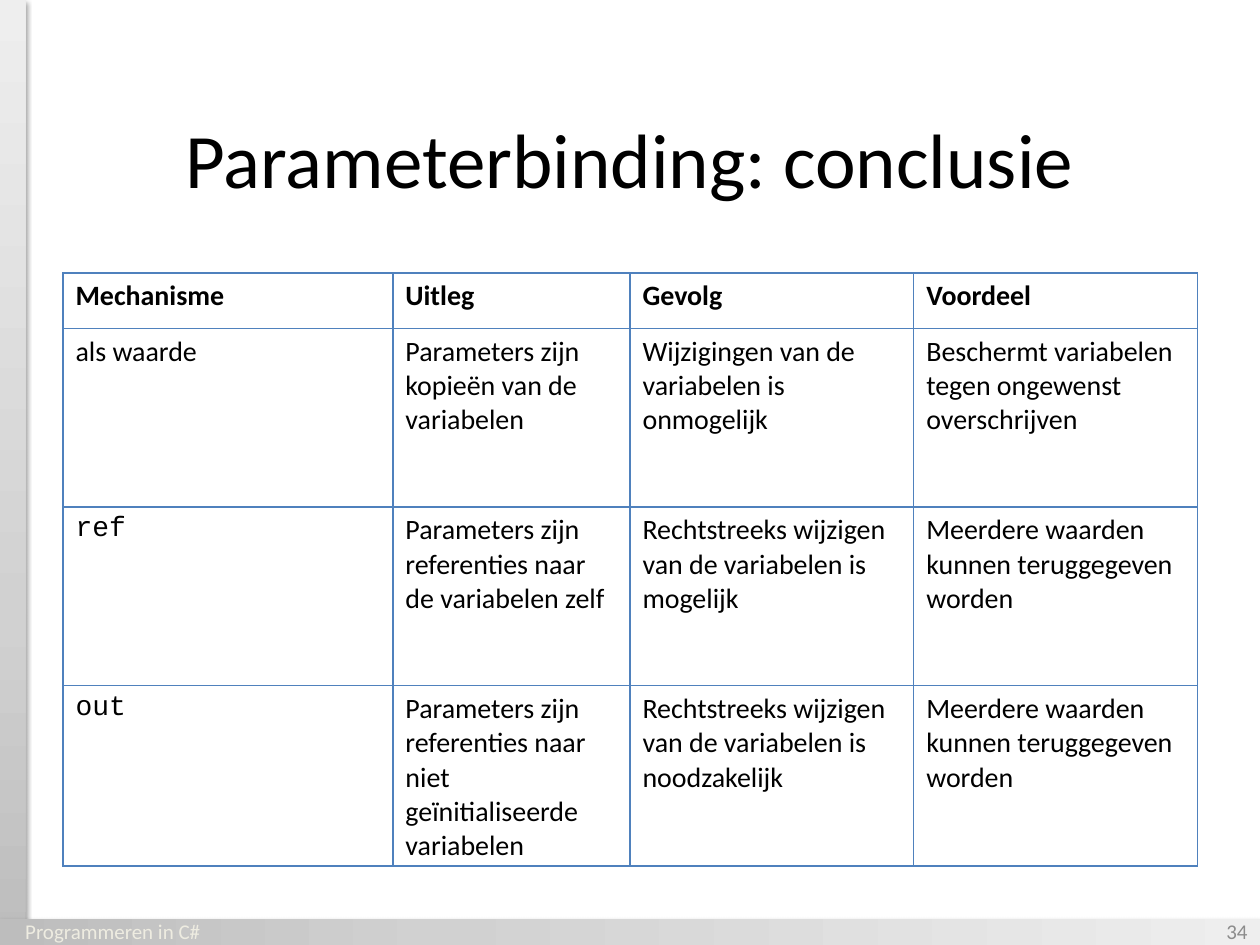
from copy import deepcopy

from lxml.etree import SubElement
from pptx import Presentation
from pptx.dml.color import RGBColor
from pptx.enum.shapes import MSO_SHAPE as Preset
from pptx.enum.text import MSO_ANCHOR as Anchor, PP_ALIGN as Align
from pptx.oxml.ns import qn
from pptx.util import Cm, Pt

SLIDE_W, SLIDE_H = 25.4, 19.05
BAR_STOPS = [(0, "BDBDBD"), (0.35, "D1D1D1"), (1, "EEEEEE")]
BORDER = "4F81BD"
BODY_FONT, CODE_FONT = "Calibri", "Courier New"
KEYWORDS = {"ref", "out"}

COLUMN_WIDTHS = [6.65, 4.78, 5.72, 5.72]
ROW_HEIGHTS = [1.12, 3.6, 3.6, 3.6]
MECHANISMS = [
    ("Mechanisme", "Uitleg", "Gevolg", "Voordeel"),
    ("als waarde",
     "Parameters zijn kopieën van de variabelen",
     "Wijzigingen van de variabelen is onmogelijk",
     "Beschermt variabelen tegen ongewenst overschrijven"),
    ("ref",
     "Parameters zijn referenties naar de variabelen zelf",
     "Rechtstreeks wijzigen van de variabelen is mogelijk",
     "Meerdere waarden kunnen teruggegeven worden"),
    ("out",
     "Parameters zijn referenties naar niet geïnitialiseerde variabelen",
     "Rechtstreeks wijzigen van de variabelen is noodzakelijk",
     "Meerdere waarden kunnen teruggegeven worden"),
]


def rgb(value):
    return RGBColor.from_string(value)


def lengths(box):
    return [Cm(value) for value in box]


def add_run(paragraph, text, size, color, font=BODY_FONT, bold=False):
    run = paragraph.add_run()
    run.text = text
    run.font.size = Pt(size)
    run.font.name = font
    run.font.bold = bold
    run.font.color.rgb = rgb(color)


def add_line_of_text(slide, box, text, size, color, align):
    frame = slide.shapes.add_textbox(*lengths(box)).text_frame
    frame.word_wrap = True
    frame.vertical_anchor = Anchor.MIDDLE
    paragraph = frame.paragraphs[0]
    paragraph.alignment = align
    add_run(paragraph, text, size, color)


def add_soft_shadow(shape):
    shape.shadow.inherit = False
    effects = shape._element.spPr.find(qn("a:effectLst"))
    shadow = SubElement(effects, qn("a:outerShdw"), blurRad=str(Pt(3.1)),
                        dist=str(Pt(1.6)), dir="5400000", rotWithShape="0")
    black = SubElement(shadow, qn("a:srgbClr"), val="000000")
    SubElement(black, qn("a:alpha"), val="38000")


def add_bar(slide, box, rotation=0):
    """Grey edge bar, shaded from dark at its foot to light at its head."""
    bar = slide.shapes.add_shape(Preset.RECTANGLE, *lengths(box))
    bar.rotation = rotation
    bar.line.fill.background()
    bar.fill.gradient()
    bar.fill.gradient_angle = 90
    stop_list = bar._element.spPr.find(".//" + qn("a:gsLst"))
    stop_list.append(deepcopy(stop_list[-1]))
    for stop, (position, color) in zip(bar.fill.gradient_stops, BAR_STOPS):
        stop.position = position
        stop.color.rgb = rgb(color)
    add_soft_shadow(bar)


def add_frame_bars(slide, box):
    left, top, width, height = box
    thickness = 0.52
    add_bar(slide, (left, top, thickness, height))
    # The foot bar stands upright and is turned about its centre.
    center_x, center_y = left + width / 2, top + height - thickness / 2
    add_bar(slide, (center_x - thickness / 2, center_y - width / 2,
                    thickness, width), rotation=90)


def set_borders(cell, color, width):
    properties = cell._tc.get_or_add_tcPr()
    for index, side in enumerate(("lnL", "lnR", "lnT", "lnB")):
        line = properties.makeelement(qn("a:" + side), {"w": str(Pt(width))})
        fill = SubElement(line, qn("a:solidFill"))
        SubElement(fill, qn("a:srgbClr"), val=color)
        properties.insert(index, line)


def add_mechanism_table(slide, box):
    table = slide.shapes.add_table(
        len(MECHANISMS), len(COLUMN_WIDTHS), *lengths(box)).table
    table.horz_banding = False
    for column, width in zip(table.columns, COLUMN_WIDTHS):
        column.width = Cm(width)
    for row_index, texts in enumerate(MECHANISMS):
        table.rows[row_index].height = Cm(ROW_HEIGHTS[row_index])
        for cell, text in zip(table.rows[row_index].cells, texts):
            cell.fill.background()
            set_borders(cell, BORDER, 1)
            add_run(cell.text_frame.paragraphs[0], text, 16, "000000",
                    font=CODE_FONT if text in KEYWORDS else BODY_FONT,
                    bold=row_index == 0)


def add_footer(slide, box):
    left, top, width, height = box
    add_line_of_text(slide, (left - 1.75, top, 8.05, height),
                     "Programmeren in C#", 12, "EEECE1", Align.CENTER)
    number_width = 5.92
    add_line_of_text(slide, (left + width - number_width, top, number_width, height),
                     "34", 12, "8C8C8C", Align.RIGHT)


def main():
    deck = Presentation()
    deck.slide_width, deck.slide_height = Cm(SLIDE_W), Cm(SLIDE_H)
    slide = deck.slides.add_slide(deck.slide_layouts[6])
    add_frame_bars(slide, (0, 0, SLIDE_W, SLIDE_H))
    add_line_of_text(slide, (1.27, 1.27, 22.86, 3.81),
                     "Parameterbinding: conclusie", 44, "000000", Align.CENTER)
    add_mechanism_table(slide, (1.27, 5.5, sum(COLUMN_WIDTHS), sum(ROW_HEIGHTS)))
    add_footer(slide, (0, 18.27, SLIDE_W, 1.02))
    deck.save("out.pptx")


if __name__ == "__main__":
    main()
